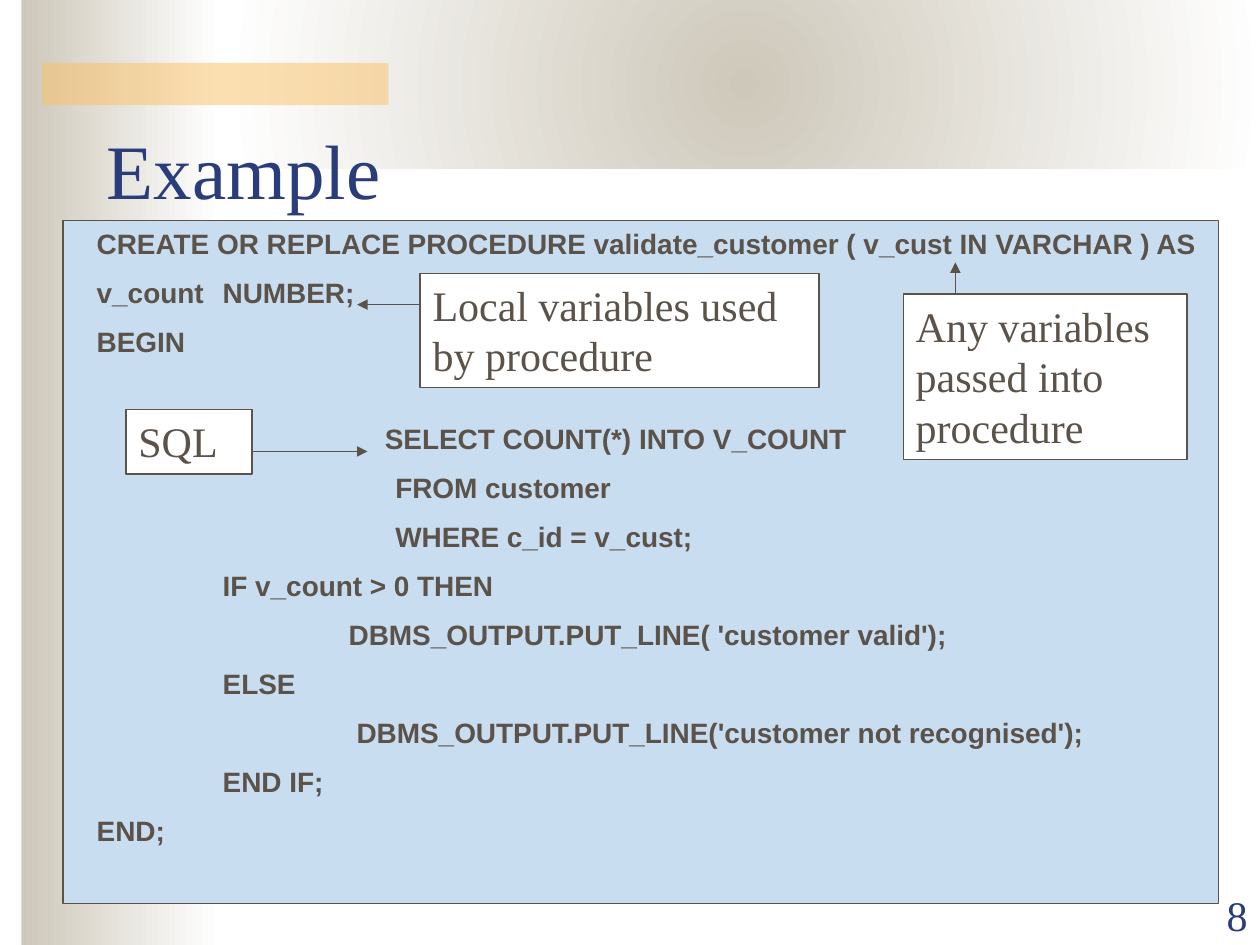
from lxml.etree import SubElement
from pptx import Presentation
from pptx.dml.color import RGBColor
from pptx.enum.shapes import MSO_CONNECTOR, MSO_SHAPE
from pptx.enum.text import MSO_ANCHOR as Anchor, MSO_AUTO_SIZE as AutoSize, PP_ALIGN as Align
from pptx.oxml.ns import qn
from pptx.util import Cm, Pt

NAVY, BROWN, SAND, GOLD = "2A3D7A", "5B5249", "CEC8BA", "FAC164"
PALE_BLUE, WHITE = "C9DDF1", "FFFFFF"
SERIF, SANS = "Times New Roman", "Arial"
TAB = 2.54

# Left indent in cm, space before in points, text
CODE = [
    (0, 0, "CREATE OR REPLACE PROCEDURE validate_customer ( v_cust IN VARCHAR ) AS"),
    (0, 8.8, "v_count\tNUMBER;"),
    (0, 8.8, "BEGIN"),
    (5.81, 36, "SELECT COUNT(*) INTO V_COUNT"),
    (6.02, 8.8, "FROM customer"),
    (6.02, 8.8, "WHERE c_id = v_cust;"),
    (TAB, 8.8, "IF v_count > 0 THEN"),
    (2 * TAB, 8.8, "DBMS_OUTPUT.PUT_LINE( 'customer valid');"),
    (TAB, 8.8, "ELSE"),
    (5.24, 8.8, "DBMS_OUTPUT.PUT_LINE('customer not recognised');"),
    (TAB, 8.8, "END IF;"),
    (0, 8.8, "END;"),
]

# Text, box and arrow (from, to) in cm, relative to the code panel
CALLOUTS = [
    ("Any variables passed into procedure", (16.94, 1.48, 5.72, 3.33),
     ((17.99, 1.48), (17.99, 0.84))),
    ("Local variables used by procedure", (7.2, 1.06, 8.04, 2.31),
     ((7.2, 1.69), (5.93, 1.69))),
    ("SQL", (1.27, 3.81, 2.54, 1.3),
     ((3.81, 4.65), (6.14, 4.65))),
]


def rgb(value):
    return RGBColor.from_string(value)


def cm_box(box):
    return [Cm(length) for length in box]


def add_run(paragraph, text, font, size, color, bold=False):
    run = paragraph.add_run()
    run.text = text
    run.font.name, run.font.size, run.font.bold = font, Pt(size), bold
    run.font.color.rgb = rgb(color)


def add_rect(slide, box, fill=None, outline=None):
    rect = slide.shapes.add_shape(MSO_SHAPE.RECTANGLE, *cm_box(box))
    rect.shadow.inherit = False
    if fill:
        rect.fill.solid()
        rect.fill.fore_color.rgb = rgb(fill)
    if outline:
        rect.line.color.rgb = rgb(outline)
        rect.line.width = Pt(0.75)
    else:
        rect.line.fill.background()
    return rect


def add_gradient_rect(slide, box, radial=False):
    rect = add_rect(slide, box)
    rect.fill.gradient()
    rect.fill.gradient_angle = 0
    for stop, color in zip(rect.fill.gradient_stops, (SAND, WHITE)):
        stop.color.rgb = rgb(color)
    if radial:
        gradient = rect._element.spPr.find(qn("a:gradFill"))
        gradient.remove(gradient.find(qn("a:lin")))
        circle = SubElement(gradient, qn("a:path"), path="circle")
        SubElement(circle, qn("a:fillToRect"), l="50000", t="50000", r="50000", b="50000")


def add_arrow(slide, start, end):
    arrow = slide.shapes.add_connector(MSO_CONNECTOR.STRAIGHT, *cm_box(start + end))
    arrow.line.color.rgb = rgb(BROWN)
    arrow.line.width = Pt(0.75)
    SubElement(arrow.line._get_or_add_ln(), qn("a:tailEnd"), type="triangle")
    SubElement(arrow._element.spPr, qn("a:effectLst"))


def add_backdrop(slide, box):
    left, top, width, height = box
    add_gradient_rect(slide, (left + 0.43, top, 4.01, height))
    add_gradient_rect(slide, (left + 4.65, top, width - 4.65, 3.39), radial=True)
    # Half-transparent accent bar
    bar = add_rect(slide, (left + 0.85, top + 1.27, 6.98, 0.85), GOLD)
    color = bar._element.spPr.find(qn("a:solidFill")).find(qn("a:srgbClr"))
    SubElement(color, qn("a:alpha"), val="50000")


def place_title(slide, box):
    title = slide.shapes.title
    title.left, title.top, title.width, title.height = cm_box(box)
    # Bring the title in front of the backdrop
    slide.shapes._spTree.append(title._element)
    frame = title.text_frame
    frame.auto_size = AutoSize.NONE
    frame.vertical_anchor = Anchor.BOTTOM
    frame.paragraphs[0].alignment = Align.LEFT
    add_run(frame.paragraphs[0], "Example", SERIF, 44, NAVY)


def add_page_number(slide, box):
    frame = slide.shapes.add_textbox(*cm_box(box)).text_frame
    frame.word_wrap = True
    frame.vertical_anchor = Anchor.BOTTOM
    frame.paragraphs[0].alignment = Align.RIGHT
    add_run(frame.paragraphs[0], "8", SERIF, 24, NAVY)


def add_code_panel(slide, box):
    left, top, width, height = box
    add_rect(slide, box, PALE_BLUE, BROWN)
    # Listing
    listing = slide.shapes.add_textbox(*cm_box((left + 0.43, top, width, height - 0.6)))
    frame = listing.text_frame
    frame.word_wrap = True
    for number, (indent, space, text) in enumerate(CODE):
        line = frame.add_paragraph() if number else frame.paragraphs[0]
        line.space_before = Pt(space)
        line._p.get_or_add_pPr().set("marL", str(Cm(indent)))
        add_run(line, text, SANS, 16, BROWN, bold=True)
    # Callouts with their arrows
    for text, (x, y, w, h), ends in CALLOUTS:
        add_callout(slide, (left + x, top + y, w, h), text)
        add_arrow(slide, *[(left + x, top + y) for x, y in ends])


def add_callout(slide, box, text):
    frame = add_rect(slide, box, WHITE, BROWN).text_frame
    frame.word_wrap = True
    frame.vertical_anchor = Anchor.TOP
    frame.paragraphs[0].alignment = Align.LEFT
    add_run(frame.paragraphs[0], text, SERIF, 24, BROWN)


def main():
    deck = Presentation()
    deck.slide_width, deck.slide_height = Cm(25.4), Cm(19.05)
    slide = deck.slides.add_slide(deck.slide_layouts[5])
    add_backdrop(slide, (0, 0, 25.4, 19.05))
    add_page_number(slide, (22.86, 17.8, 2.54, 1.27))
    add_code_panel(slide, (1.27, 4.45, 23.29, 13.77))
    place_title(slide, (1.9, 2.75, 21.59, 1.7))
    deck.save("out.pptx")


if __name__ == "__main__":
    main()
